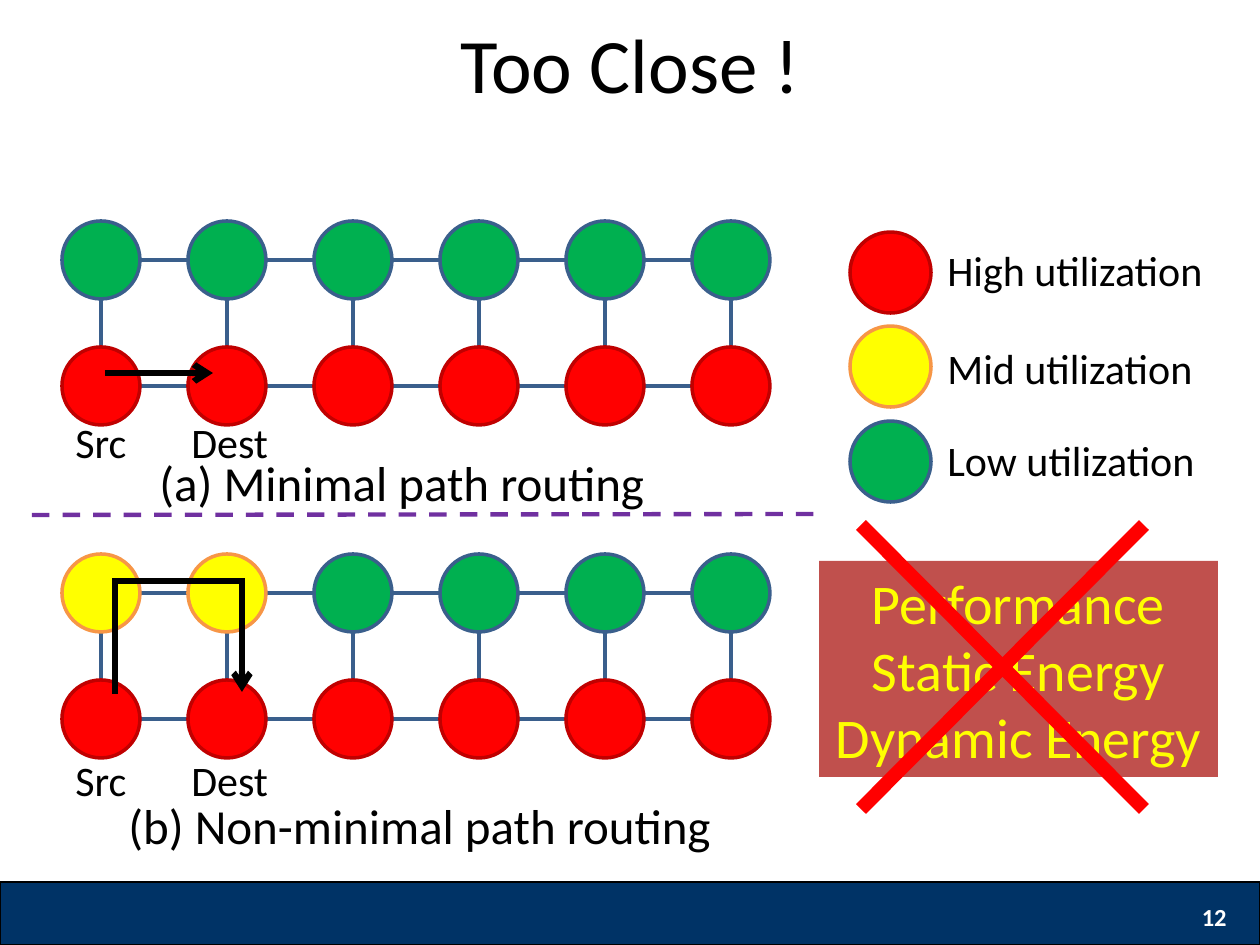
from lxml import etree
from pptx import Presentation
from pptx import util as u
from pptx.dml.color import RGBColor
from pptx.enum import dml, shapes, text
from pptx.oxml.ns import qn

SCALE = 914400 / 126
BLUE, GREEN, RED, DARK_RED = "3A5F8C", "00B050", "FF0000", "C00000"
YELLOW, ORANGE, BLACK = "FFFF00", "F79646", "000000"
HIGH, MID, LOW = (RED, DARK_RED), (YELLOW, ORANGE), (GREEN, BLUE)
PITCH, NODE = 126, 78


def px(*lengths):
    return [u.Emu(round(length * SCALE)) for length in lengths]


def paint(target, color):
    target.solid()
    target.fore_color.rgb = RGBColor.from_string(color)


presentation = Presentation()
presentation.slide_width, presentation.slide_height = px(1260, 945)
slide = presentation.slides.add_slide(presentation.slide_layouts[5])

title = slide.shapes.title
title.left, title.top, title.width, title.height = px(32, 21, 1197, 84)
title.text_frame.text = "Too Close !"

OVAL, RECTANGLE = shapes.MSO_SHAPE.OVAL, shapes.MSO_SHAPE.RECTANGLE
figures = [(RECTANGLE, 0, 882, 1260, 63, "003366", BLACK, 0.75)]
for top, (fill, line) in zip((232, 326, 421), (HIGH, MID, LOW)):
    figures.append((OVAL, 850, top, 81, 81, fill, line, 2))

meshes = [(260, [LOW] * 6), (593, [MID] * 2 + [LOW] * 4)]
for top, upper_row in meshes:
    for column in range(5):
        figures.append((RECTANGLE, 101 + column * PITCH, top, PITCH, PITCH, None, BLUE, 2))
    for row, levels in enumerate((upper_row, [HIGH] * 6)):
        for column, (fill, line) in enumerate(levels):
            figures.append((OVAL, 62 + column * PITCH, top - NODE // 2 + row * PITCH,
                            NODE, NODE, fill, line, 2))

for kind, left, top, width, height, fill, line, weight in figures:
    shape = slide.shapes.add_shape(kind, *px(left, top, width, height))
    shape.shadow.inherit = False
    if fill:
        paint(shape.fill, fill)
    else:
        shape.fill.background()
    paint(shape.line.fill, line)
    shape.line.width = u.Pt(weight)

verdict = slide.shapes.add_shape(RECTANGLE, *px(819, 561, 399, 216))
verdict.shadow.inherit = False
paint(verdict.fill, "C0504D")
verdict.line.fill.background()
verdict.text_frame.text = "Performance\nStatic Energy\nDynamic Energy"

LEFT, CENTER, RIGHT = text.PP_ALIGN.LEFT, text.PP_ALIGN.CENTER, text.PP_ALIGN.RIGHT
styled = [(title, 44, BLACK, CENTER, False), (verdict, 32, YELLOW, CENTER, False)]
labels = [
    ("12", 945, 892, 294, 50, 14, "FFFFFF", RIGHT, True),
    ("(a) Minimal path routing", 147, 446, 563, 72, 28, BLACK, LEFT, False),
    ("(b) Non-minimal path routing", 116, 789, 662, 72, 28, BLACK, LEFT, False),
    ("High utilization", 935, 238, 305, 63, 24, BLACK, LEFT, False),
    ("Mid utilization", 935, 336, 284, 63, 24, BLACK, LEFT, False),
    ("Low utilization", 935, 428, 305, 63, 24, BLACK, LEFT, False),
]
for top in (410, 748):
    labels.append(("Src", 63, top, 96, 63, 24, BLACK, LEFT, False))
    labels.append(("Dest", 179, top, 126, 63, 24, BLACK, LEFT, False))
for wording, left, top, width, height, size, color, align, bold in labels:
    box = slide.shapes.add_textbox(*px(left, top, width, height))
    box.text_frame.text = wording
    styled.append((box, size, color, align, bold))
    if align == RIGHT:
        box.text_frame.vertical_anchor = text.MSO_ANCHOR.MIDDLE

for shape, size, color, align, bold in styled:
    shape.text_frame.word_wrap = True
    for paragraph in shape.text_frame.paragraphs:
        paragraph.alignment = align
        for run in paragraph.runs:
            run.font.name = "Calibri"
            run.font.size = u.Pt(size)
            run.font.bold = bold
            paint(run.font.fill, color)

lines = [
    (32, 515, 819, 514, "7030A0", 2.5),
    (105, 373, 213, 373, BLACK, 3.5),
    (861, 525, 1144, 809, RED, 8),
    (861, 809, 1144, 525, RED, 8),
]
connectors = []
for x1, y1, x2, y2, color, weight in lines:
    connector = slide.shapes.add_connector(shapes.MSO_CONNECTOR.STRAIGHT, *px(x1, y1, x2, y2))
    paint(connector.line.fill, color)
    connector.line.width = u.Pt(weight)
    etree.SubElement(connector.element.spPr, qn("a:effectLst"))
    connectors.append(connector)
divider, minimal_route = connectors[:2]
divider.line.dash_style = dml.MSO_LINE.DASH

builder = slide.shapes.build_freeform(115, 694, scale=SCALE)
builder.add_line_segments([(115, 581), (242, 581), (242, 692)], close=False)
detour_route = builder.convert_to_shape()
detour_route.shadow.inherit = False
detour_route.fill.background()
paint(detour_route.line.fill, BLACK)
detour_route.line.width = u.Pt(3.5)

for route in (minimal_route, detour_route):
    outline = route.line._get_or_add_ln()
    if route is detour_route:
        etree.SubElement(outline, qn("a:miter"), lim="800000")
    etree.SubElement(outline, qn("a:tailEnd"), type="arrow")

presentation.save("out.pptx")
